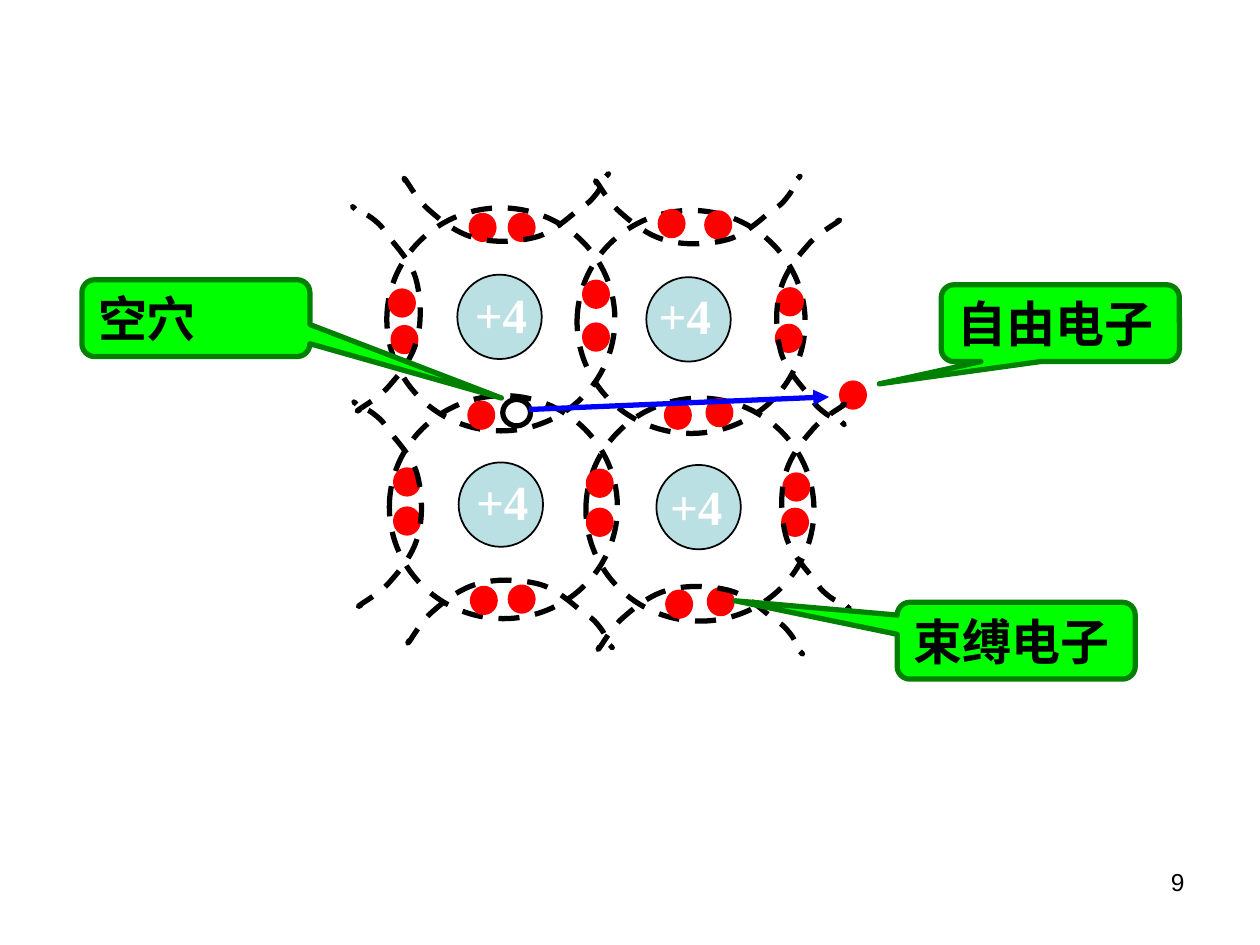
"""Builds a slide of a silicon lattice with a hole, a free electron and bound electrons."""
import pptx
import pptx.util
import pptx.dml.color
import pptx.enum.dml
import pptx.enum.shapes
import pptx.enum.text
import pptx.oxml
import pptx.oxml.ns

PX = pptx.util.Inches(1) // 100
SHAPES = pptx.enum.shapes.MSO_SHAPE
ALIGN = pptx.enum.text.PP_ALIGN
ANCHOR = pptx.enum.text.MSO_ANCHOR
RGB = pptx.dml.color.RGBColor.from_string
THEME = {
    "electron": RGB("FF0000"),
    "ion": RGB("BBE0E3"),
    "ink": RGB("000000"),
    "paper": RGB("FFFFFF"),
    "callout": RGB("00FF00"),
    "callout edge": RGB("008000"),
    "arrow": RGB("0000FF"),
    "thick": pptx.util.Pt(3),
    "thin": pptx.util.Pt(1),
    "label": {"name": "Times New Roman", "size": pptx.util.Pt(28), "bold": True},
    "number": {"name": "Arial", "size": pptx.util.Pt(14), "bold": False},
}


def paint(shape, fill, edge, width="thick", dashed=False):
    shape.shadow.inherit = False
    if fill:
        shape.fill.solid()
        shape.fill.fore_color.rgb = THEME[fill]
    else:
        shape.fill.background()
    shape.line.color.rgb = THEME[edge]
    shape.line.width = THEME[width]
    if dashed:
        shape.line.dash_style = pptx.enum.dml.MSO_LINE.DASH


def write(box, text, style, color, align=ALIGN.LEFT, anchor=ANCHOR.TOP, wrap=True):
    frame = box.text_frame
    frame.word_wrap = wrap
    frame.vertical_anchor = anchor
    para = frame.paragraphs[0]
    para.alignment = align
    span = para.add_run()
    span.text = text
    for name, value in THEME[style].items():
        setattr(span.font, name, value)
    span.font.color.rgb = THEME[color]


deck = pptx.Presentation()
deck.slide_width, deck.slide_height = 1000 * PX, 750 * PX
page = deck.slides.add_slide(deck.slide_layouts[6])
shapes = page.shapes

number = shapes.add_textbox(717 * PX, 683 * PX, 233 * PX, 52 * PX)
write(number, "9", "number", "ink", ALIGN.RIGHT)

ions = [(363, 218), (513, 220), (364, 367), (521, 369)]
rings = [(307, 165), (458, 167), (309, 314), (465, 316)]
for (ion_x, ion_y), (ring_x, ring_y) in zip(ions, rings):
    ion = shapes.add_shape(SHAPES.OVAL, ion_x * PX, ion_y * PX, 67 * PX, 67 * PX)
    paint(ion, "ion", "ink", "thin")
    ring = shapes.add_shape(SHAPES.OVAL, ring_x * PX, ring_y * PX, 181 * PX, 177 * PX)
    paint(ring, None, "ink", dashed=True)

bound_electrons = [
    (374, 171), (405, 171), (524, 168), (561, 169),
    (310, 231), (312, 260), (464, 224), (464, 258), (618, 230), (617, 259),
    (373, 320), (529, 320), (562, 318),
    (314, 373), (314, 404), (467, 374), (467, 405), (623, 377), (622, 405),
    (375, 467), (405, 466), (530, 470), (563, 468),
]
free_electron = (668, 304)
for x, y in bound_electrons + [free_electron]:
    electron = shapes.add_shape(SHAPES.OVAL, x * PX, y * PX, 18 * PX, 19 * PX)
    paint(electron, "electron", "electron")

arc_points = [
    (21, -79), (21, -79), (26, -82), (22, -79), (18, -76), (5, -69), (-3, -59),
    (-11, -50), (-21, -37), (-24, -23), (-28, -9), (-27, 11), (-23, 25),
    (-19, 39), (-6, 52), (0, 60), (5, 68), (7, 69), (12, 73),
    (16, 76), (23, 79), (25, 80), (28, 82), (27, 82), (27, 82),
    (27, 82), (26, 81), (25, 80),
]
turns = {
    "right": lambda x, y: (x, y),
    "left": lambda x, y: (-x, -y),
    "top": lambda x, y: (y, -x),
    "bottom": lambda x, y: (y, x),
}
arcs = [
    ("right", 643, 255), ("right", 647, 401), ("top", 401, 165), ("top", 553, 167),
    ("bottom", 404, 487), ("bottom", 555, 492), ("left", 307, 246), ("left", 308, 401),
]
for side, center_x, center_y in arcs:
    turned = [turns[side](x, y) for x, y in arc_points]
    start, *rest = [(center_x + x, center_y + y) for x, y in turned]
    builder = shapes.build_freeform(*start, scale=PX)
    builder.add_line_segments(rest, close=False)
    arc = builder.convert_to_shape()
    paint(arc, None, "ink", dashed=True)
    segments = list(arc._element.iter(pptx.oxml.ns.qn("a:lnTo")))
    for first in range(0, len(segments), 3):
        curve = pptx.oxml.parse_xml(f"<a:cubicBezTo {pptx.oxml.ns.nsdecls('a')}/>")
        segments[first].addprevious(curve)
        for segment in segments[first:first + 3]:
            curve.append(segment[0])
            segment.getparent().remove(segment)

for x, y in [(367, 221), (513, 222), (368, 369), (522, 373)]:
    charge = shapes.add_textbox(x * PX, y * PX, 77 * PX, 57 * PX)
    write(charge, "+4", "label", "paper")

hole = shapes.add_shape(SHAPES.OVAL, 399 * PX, 317 * PX, 22 * PX, 21 * PX)
paint(hole, "paper", "ink")

escape = shapes.add_connector(
    pptx.enum.shapes.MSO_CONNECTOR.STRAIGHT, 420 * PX, 325 * PX, 658 * PX, 315 * PX)
escape.line.color.rgb = THEME["arrow"]
escape.line.width = THEME["thick"]
escape.line._get_or_add_ln().append(
    pptx.oxml.parse_xml(f'<a:tailEnd {pptx.oxml.ns.nsdecls("a")} type="triangle"/>'))
escape._element.spPr.append(
    pptx.oxml.parse_xml(f"<a:effectLst {pptx.oxml.ns.nsdecls('a')}/>"))

callouts = [
    ("自由电子", 747, 226, 189, (-0.76, 0.79), False),
    ("空穴", 65, 222, 181, (1.34, 1.04), True),
    ("束缚电子", 712, 478, 189, (-1.18, -0.52), False),
]
for text, x, y, width, tip, wrap in callouts:
    callout = shapes.add_shape(
        SHAPES.ROUNDED_RECTANGULAR_CALLOUT, x * PX, y * PX, width * PX, 61 * PX)
    callout.adjustments[0], callout.adjustments[1] = tip
    paint(callout, "callout", "callout edge")
    write(callout, text, "label", "ink", anchor=ANCHOR.MIDDLE, wrap=wrap)

deck.save("out.pptx")
